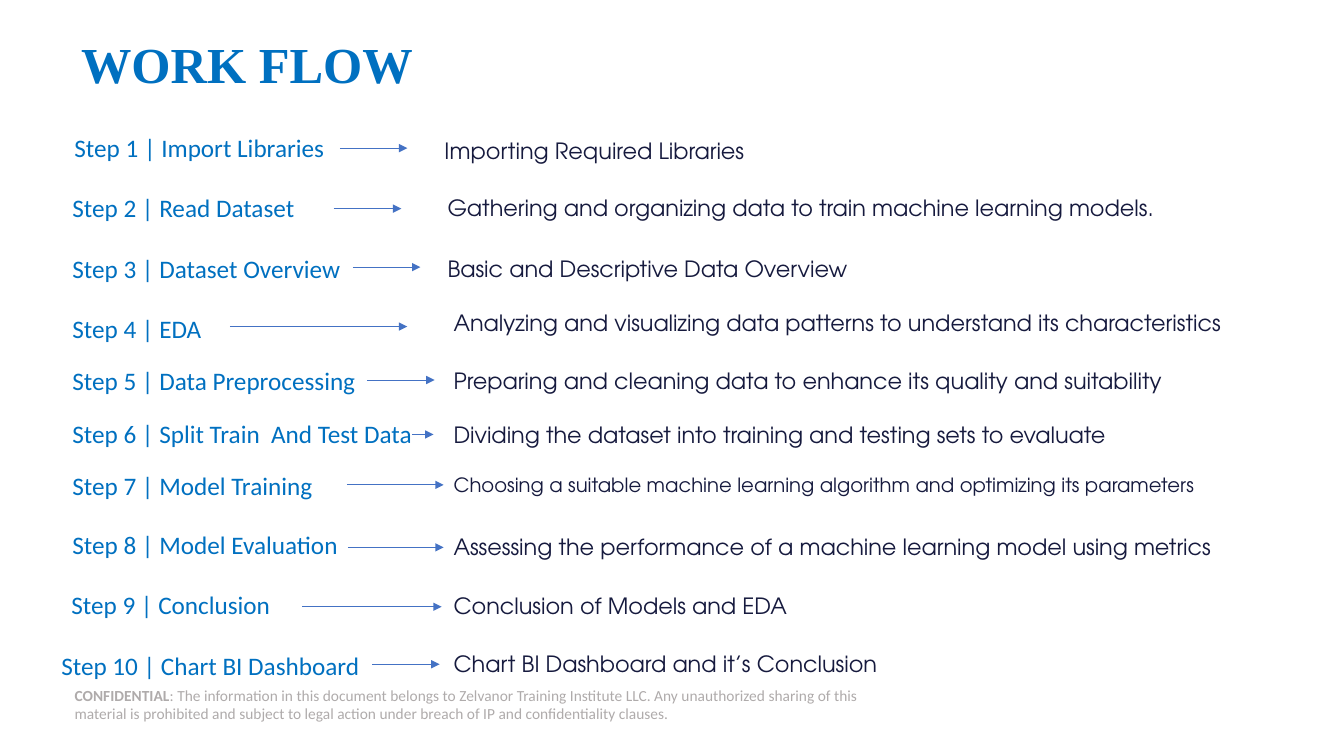
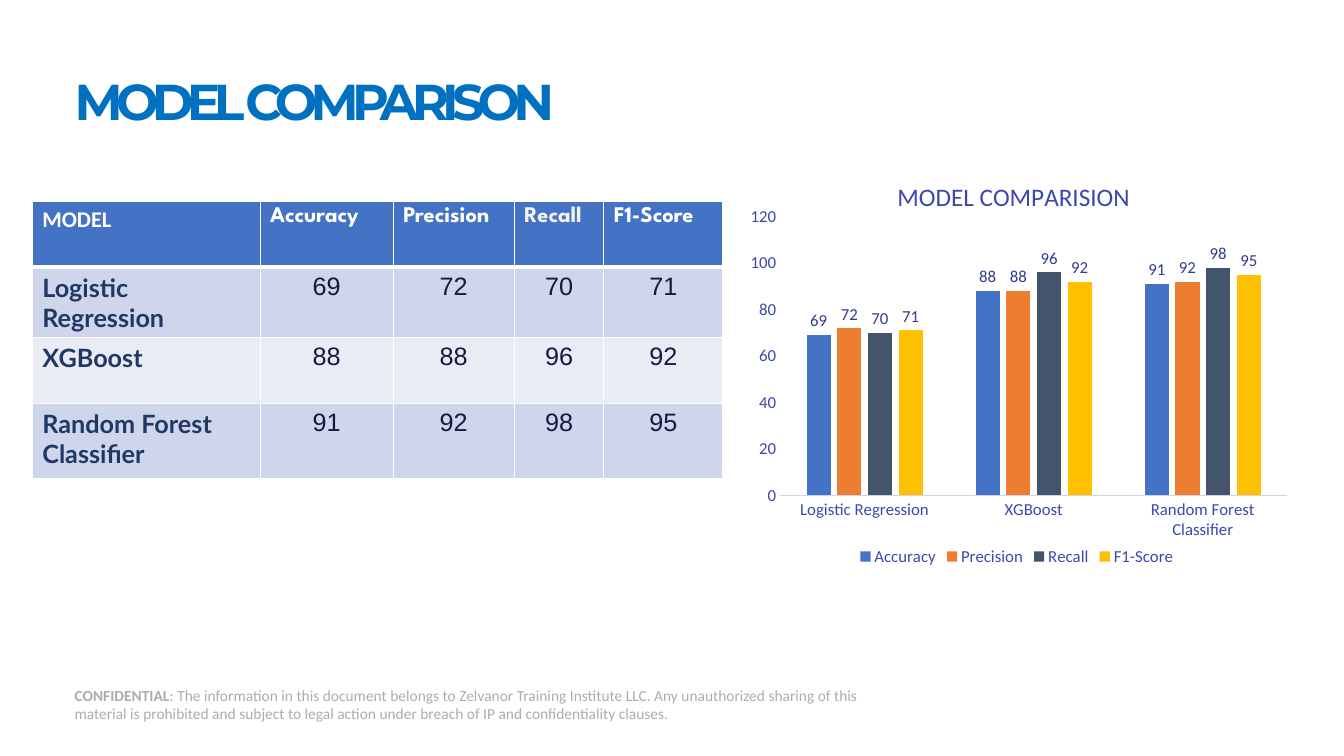
from typing import NamedTuple

from lxml.etree import SubElement
from pptx import Presentation
from pptx.chart.data import CategoryChartData
from pptx.dml.color import RGBColor
from pptx.enum.chart import XL_CHART_TYPE as ChartType, XL_LABEL_POSITION as LabelPos
from pptx.enum.chart import XL_LEGEND_POSITION as LegendPos, XL_TICK_MARK as Tick
from pptx.enum.shapes import MSO_CONNECTOR as Connector, MSO_SHAPE as Shape
from pptx.enum.text import MSO_ANCHOR as Anchor, MSO_AUTO_SIZE as AutoSize, PP_ALIGN as Align
from pptx.oxml import parse_xml
from pptx.oxml.ns import nsdecls, qn
from pptx.util import Inches, Pt

COLORS = {
    "white": "FFFFFF",
    "soft_white": "F2F2F2",
    "heading": "0070C0",
    "body": "161A3E",
    "footer": "AFABAB",
    "accent": "4472C4",
    "model": "203864",
    "band_dark": "CFD5EA",
    "band_light": "E9EBF5",
    "precision": "ED7D31",
    "recall": "44546A",
    "f1": "FFC000",
    "chart_text": "3D48AC",
    "value_label": "323B8D",
    "axis_line": "D0D3EE",
}
METRICS = ["Accuracy", "Precision", "Recall", "F1-Score"]
METRIC_COLORS = ["accent", "precision", "recall", "f1"]
SCORES = {
    "Logistic Regression": [69, 72, 70, 71],
    "XGBoost": [88, 88, 96, 92],
    "Random Forest Classifier": [91, 92, 98, 95],
}


class Step(NamedTuple):
    label: str
    note: str
    top: float
    arrow_start: float
    arrow_end: float
    arrow_drop: float
    note_drop: float
    label_left: float = 0.12
    note_left: float = 3.9
    note_size: int = 16


STEPS = [
    Step("Import Libraries", "Importing Required Libraries",
         0, 2.87, 3.54, 0.21, 0.05, label_left=0.14, note_left=3.81),
    Step("Read Dataset", "Gathering and organizing data to train machine learning models.",
         0.6, 2.81, 3.48, 0.21, 0.02, note_left=3.84),
    Step("Dataset Overview", "Basic and Descriptive Data Overview",
         1.2, 3, 3.67, 0.19, 0.02, note_left=3.84),
    Step("EDA", "Analyzing and visualizing data patterns to understand its characteristics",
         1.8, 1.78, 3.54, 0.18, -0.04),
    Step("Data Preprocessing", "Preparing and cleaning data to enhance its quality and suitability",
         2.32, 3.14, 3.81, 0.19, 0.01),
    Step("Split Train  And Test Data", "Dividing the dataset into training and testing sets to evaluate",
         2.84, 3.59, 3.8, 0.21, 0.03),
    Step("Model Training",
         "Choosing a suitable machine learning algorithm and optimizing its parameters",
         3.36, 2.94, 3.9, 0.19, 0.02, note_size=14),
    Step("Model Evaluation", "Assessing the performance of a machine learning model using metrics",
         3.94, 2.95, 3.9, 0.23, 0.04),
    Step("Conclusion", "Conclusion of Models and EDA",
         4.54, 2.5, 3.88, 0.22, 0.03, label_left=0.11),
    Step("Chart BI Dashboard", "Chart BI Dashboard and it’s Conclusion",
         5.14, 3.19, 3.86, 0.19, 0, label_left=0.01),
]


def rgb(name):
    return RGBColor.from_string(COLORS[name])


def style_font(font, size, color, family="Calibri", bold=False):
    font.size, font.name, font.bold = Pt(size), family, bold
    font.color.rgb = rgb(color)


def add_text(paragraph, text, *style):
    run = paragraph.add_run()
    run.text = text
    style_font(run.font, *style)
    return run


def clear_insets(frame):
    frame.margin_left = frame.margin_right = frame.margin_top = frame.margin_bottom = 0


def add_footer(slide):
    footer = slide.shapes.add_shape(
        Shape.RECTANGLE, Inches(0.74), Inches(6.79), Inches(8.17), Inches(0.4))
    footer.shadow.inherit = False
    footer.fill.solid()
    footer.fill.fore_color.rgb = rgb("white")
    footer.line.fill.background()
    frame = footer.text_frame
    clear_insets(frame)
    frame.word_wrap = True
    frame.vertical_anchor = Anchor.MIDDLE
    notice = frame.paragraphs[0]
    notice.alignment = Align.LEFT
    add_text(notice, "CONFIDENTIAL", 11, "footer", "Calibri", True)
    add_text(notice, ": The information in this document belongs to Zelvanor Training Institute LLC. "
             "Any unauthorized sharing of this material is prohibited and subject to legal action "
             "under breach of IP and confidentiality clauses.", 11, "footer")


def add_titled_slide(deck, text, box, family, alignment, spacing=0):
    slide = deck.slides.add_slide(deck.slide_layouts[5])
    title = slide.shapes.title
    title.left, title.top, title.width, title.height = map(Inches, box)
    frame = title.text_frame
    clear_insets(frame)
    frame.word_wrap = True
    frame.auto_size = AutoSize.NONE
    frame.vertical_anchor = Anchor.MIDDLE
    heading = frame.paragraphs[0]
    heading.alignment = alignment
    run = add_text(heading, text, 36, "heading", family, True)
    if spacing:
        run.font._element.set("spc", str(spacing))
    add_footer(slide)
    return slide


def add_label(slide, text, box, *style):
    label = slide.shapes.add_textbox(*map(Inches, box))
    label.text_frame.word_wrap = True
    add_text(label.text_frame.paragraphs[0], text, *style)


def add_arrow(slide, start, end, y):
    arrow = slide.shapes.add_connector(
        Connector.STRAIGHT, Inches(start), Inches(y), Inches(end), Inches(y))
    arrow.line.color.rgb = rgb("accent")
    arrow.line.width = Pt(0.5)
    properties = arrow._element.spPr
    SubElement(properties.find(qn("a:ln")), qn("a:tailEnd"), type="triangle")
    SubElement(properties, qn("a:effectLst"))


def add_step(slide, number, step, left, top):
    row_top = top + step.top
    add_label(slide, f"Step {number} | {step.label}",
              (left + step.label_left, row_top, 4.17, 0.4), 18, "heading")
    add_arrow(slide, left + step.arrow_start, left + step.arrow_end, row_top + step.arrow_drop)
    add_label(slide, step.note, (left + step.note_left, row_top + step.note_drop, 8.62, 0.37),
              step.note_size, "body", "TeX Gyre Adventor")


def set_cell_borders(cell, bottom):
    properties = cell._tc.get_or_add_tcPr()
    for index, (side, width) in enumerate([("L", 1), ("R", 1), ("T", 1), ("B", bottom)]):
        properties.insert(index, parse_xml(
            f'<a:ln{side} {nsdecls("a")} w="{Pt(width)}"><a:solidFill>'
            f'<a:srgbClr val="{COLORS["white"]}"/></a:solidFill></a:ln{side}>'))


def fill_cell(cell, text, fill, alignment, style, bottom=1):
    cell.fill.solid()
    cell.fill.fore_color.rgb = rgb(fill)
    set_cell_borders(cell, bottom)
    paragraph = cell.text_frame.paragraphs[0]
    paragraph.alignment = alignment
    add_text(paragraph, text, *style)


def add_score_table(slide, box):
    table = slide.shapes.add_table(len(SCORES) + 1, len(METRICS) + 1, *map(Inches, box)).table
    for column, width in zip(table.columns, [2.26, 1.32, 1.2, 0.89, 1.18]):
        column.width = Inches(width)
    for row, height in zip(table.rows, [0.65, 0.7, 0.65, 0.75]):
        row.height = Inches(height)
    for index, heading in enumerate(["MODEL"] + METRICS):
        color = "soft_white" if heading == "Recall" else "white"
        family = "League Spartan" if index else "Calibri"
        fill_cell(table.cell(0, index), heading, "accent", Align.LEFT,
                  (16, color, family, True), bottom=3)
    for row, (model, scores) in enumerate(SCORES.items(), 1):
        band = "band_dark" if row % 2 else "band_light"
        fill_cell(table.cell(row, 0), model, band, Align.LEFT, (18, "model", "Lato", True))
        for column, score in enumerate(scores, 1):
            fill_cell(table.cell(row, column), str(score), band, Align.CENTER,
                      (18, "body", "Arial"))


def set_layout(parent, index, **values):
    for old in parent.findall(qn("c:layout")):
        parent.remove(old)
    layout = parse_xml(f'<c:layout {nsdecls("c")}><c:manualLayout/></c:layout>')
    for name, value in values.items():
        SubElement(layout[0], qn(f"c:{name}"), val=str(value))
    parent.insert(index, layout)


def add_score_chart(slide, box):
    data = CategoryChartData()
    data.categories = list(SCORES)
    for metric, values in zip(METRICS, zip(*SCORES.values())):
        data.add_series(metric, values)
    chart = slide.shapes.add_chart(ChartType.COLUMN_CLUSTERED, *map(Inches, box), data).chart
    style_font(chart.font, 10, "body")

    chart.has_title = True
    add_text(chart.chart_title.text_frame.paragraphs[0], "MODEL COMPARISION", 18, "chart_text")
    set_layout(chart.chart_title._element, 1, xMode="edge", yMode="edge", x=0.28, y=0.05)
    set_layout(chart._chartSpace.chart.plotArea, 0, layoutTarget="inner", xMode="edge",
               yMode="edge", x=0.08, y=0.15, w=0.9, h=0.67)

    chart.has_legend = True
    chart.legend.position = LegendPos.BOTTOM
    chart.legend.include_in_layout = False
    style_font(chart.legend.font, 12, "chart_text")

    for axis in (chart.category_axis, chart.value_axis):
        axis.major_tick_mark = axis.minor_tick_mark = Tick.NONE
        axis.has_major_gridlines = False
        style_font(axis.tick_labels.font, 12, "chart_text")
    chart.category_axis.format.line.color.rgb = rgb("axis_line")
    chart.category_axis.format.line.width = Pt(0.75)
    scale = chart.value_axis
    scale.format.line.fill.background()
    scale.minimum_scale, scale.maximum_scale, scale.major_unit = 0, 120, 20

    plot = chart.plots[0]
    plot.gap_width, plot.overlap, plot.vary_by_categories = 219, -27, False
    for series, color in zip(plot.series, METRIC_COLORS):
        series.format.fill.solid()
        series.format.fill.fore_color.rgb = rgb(color)
        labels = series.data_labels
        labels.show_value = True
        labels.position = LabelPos.OUTSIDE_END
        style_font(labels.font, 12, "value_label")


def add_workflow_slide(deck):
    slide = add_titled_slide(deck, "WORK FLOW", (0.07, 0.39, 4.76, 0.55),
                             "Times New Roman", Align.CENTER)
    slide.shapes.title.text_frame.paragraphs[0].line_spacing = 0.9
    for number, step in enumerate(STEPS, 1):
        add_step(slide, number, step, 0.5, 1.26)


def add_comparison_slide(deck):
    slide = add_titled_slide(deck, "MODEL COMPARISON", (0.74, 0.66, 11.85, 0.67),
                             "Montserrat", Align.LEFT, spacing=-480)
    add_score_table(slide, (0.32, 2, 6.85, 2.75))
    add_score_chart(slide, (7.29, 1.53, 5.59, 4.13))


def main():
    deck = Presentation()
    deck.slide_width, deck.slide_height = Inches(13.33), Inches(7.5)
    add_workflow_slide(deck)
    add_comparison_slide(deck)
    deck.save("out.pptx")


if __name__ == "__main__":
    main()
